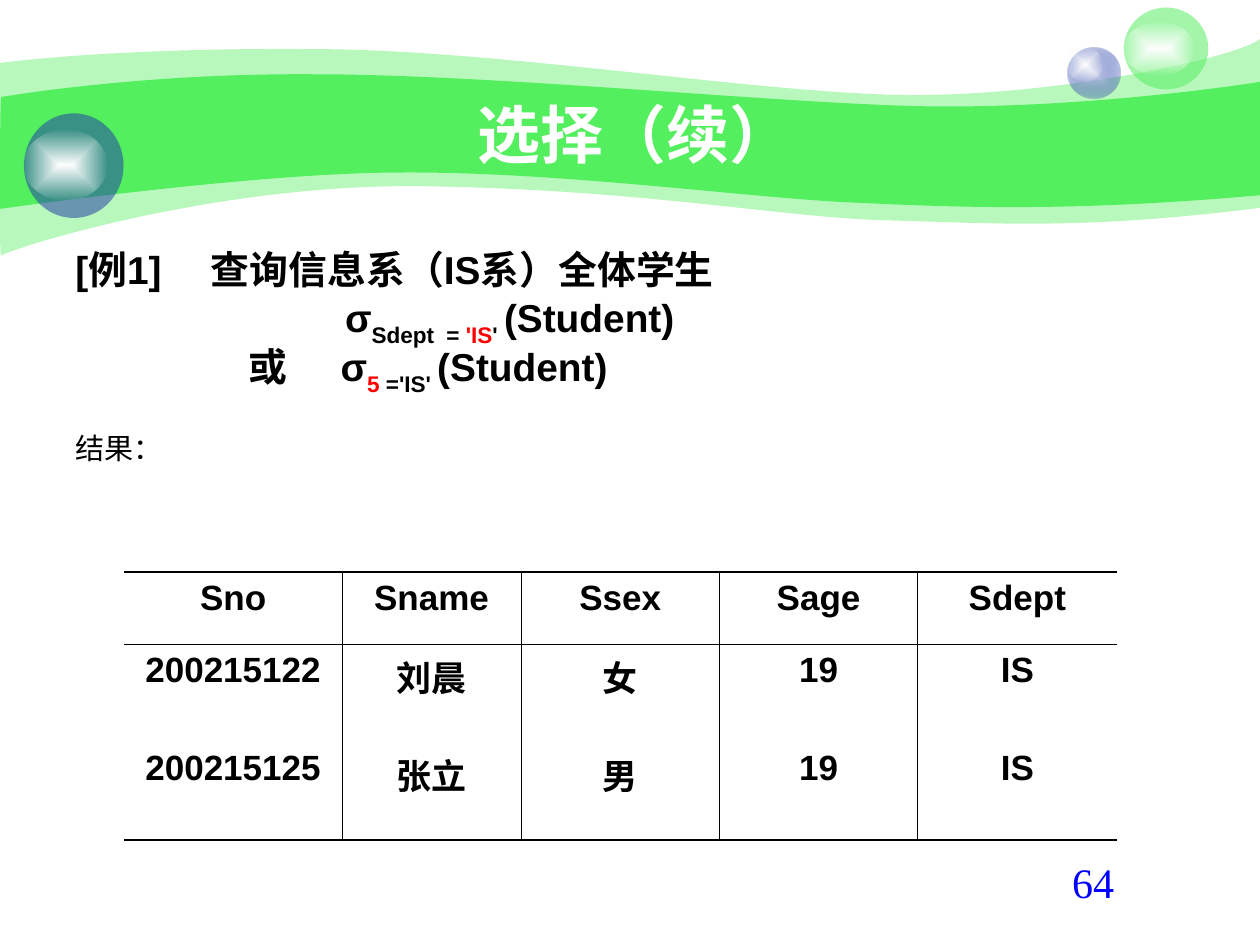
import pptx
import pptx.dml.color
import pptx.enum.shapes
import pptx.enum.text
import pptx.util
from lxml import etree

COLUMNS, ROWS = 100, 75
GREEN, BLUE, PALE_BLUE = "53EF5E", "233DA9", "C7CEE9"
WHITE, BLACK, RED, NUMBER_BLUE = "FFFFFF", "000000", "FF0000", "0000FF"
NAMESPACE = "http://schemas.openxmlformats.org/drawingml/2006/main"
ALIGN = pptx.enum.text.PP_ALIGN
ANCHOR = pptx.enum.text.MSO_ANCHOR


def tag(name):
    return f"{{{NAMESPACE}}}{name}"


def color(hex_value):
    return pptx.dml.color.RGBColor.from_string(hex_value)


def bend(lines):
    """Turn each three consecutive line elements into one cubic curve."""
    for first in range(0, len(lines), 3):
        curve = etree.Element(tag("cubicBezTo"))
        lines[first].addprevious(curve)
        for line in lines[first:first + 3]:
            curve.append(line[0])
            line.getparent().remove(line)


class SlideBuilder:
    """Style and current slide; lengths are columns and rows of the grid."""

    font = "Arial"

    def __init__(self, presentation):
        self.column = presentation.slide_width / COLUMNS
        self.row = presentation.slide_height / ROWS
        self.slide = presentation.slides.add_slide(presentation.slide_layouts[5])

    def x(self, columns):
        return pptx.util.Emu(round(columns * self.column))

    def y(self, rows):
        return pptx.util.Emu(round(rows * self.row))

    def box(self, left, top, width, height):
        return self.x(left), self.y(top), self.x(width), self.y(height)

    def run(self, paragraph, text, size, hex_value=BLACK, bold=True, font=None, subscript=False):
        run = paragraph.add_run()
        run.text = text
        run.font.name = font or self.font
        run.font.size = pptx.util.Pt(size)
        run.font.bold = bold
        run.font.color.rgb = color(hex_value)
        if subscript:
            run.font._element.set("baseline", "-30000")

    def paint(self, shape, *stops):
        """Fill with one (colour, opacity) or a centre-to-edge gradient of two."""
        shape.shadow.inherit = False
        shape.line.fill.background()
        properties = shape._element.spPr
        if len(stops) == 1:
            shape.fill.solid()
            shape.fill.fore_color.rgb = color(stops[0][0])
        else:
            shape.fill.gradient()
            for stop, (hex_value, _) in zip(shape.fill.gradient_stops, stops):
                stop.color.rgb = color(hex_value)
            linear = properties.find(".//" + tag("lin"))
            radial = etree.Element(tag("path"))
            radial.set("path", "rect")
            center = etree.SubElement(radial, tag("fillToRect"))
            for side in "ltrb":
                center.set(side, "50000")
            linear.getparent().replace(linear, radial)
        for element, (_, opacity) in zip(properties.iter(tag("srgbClr")), stops):
            if opacity < 100:
                etree.SubElement(element, tag("alpha")).set("val", str(opacity * 1000))

    def wave(self, upper, lower, opacity):
        """Band between two chains of curves, each a start and its curve points."""
        points = [(self.x(x), self.y(y)) for x, y in upper + lower]
        builder = self.slide.shapes.build_freeform(*points[0], scale=1.0)
        builder.add_line_segments(points[1:], close=True)
        shape = builder.convert_to_shape()
        lines = list(shape._element.spPr.iter(tag("lnTo")))
        edge = len(upper) - 1
        bend(lines[:edge])
        bend(lines[edge + 1:edge + len(lower)])
        self.paint(shape, (GREEN, opacity))

    def ellipse(self, place, *stops):
        oval = pptx.enum.shapes.MSO_SHAPE.OVAL
        self.paint(self.slide.shapes.add_shape(oval, *self.box(*place)), *stops)

    def orb(self, body, highlight, *stops):
        self.ellipse(body, *stops)
        self.ellipse(highlight, (WHITE, 100), (WHITE, 0))

    def title(self, place, text):
        shape = self.slide.shapes.title
        shape.left, shape.top, shape.width, shape.height = self.box(*place)
        shape.element.getparent().append(shape.element)  # in front of the waves
        frame = shape.text_frame
        frame.auto_size = pptx.enum.text.MSO_AUTO_SIZE.NONE
        frame.vertical_anchor = ANCHOR.MIDDLE
        frame.paragraphs[0].alignment = ALIGN.CENTER
        self.run(frame.paragraphs[0], text, 36, WHITE)

    def text(self, place):
        frame = self.slide.shapes.add_textbox(*self.box(*place)).text_frame
        frame.word_wrap = True
        return frame

    def body(self, place, lines):
        """Each line is (margin, first-line indent, space before, runs)."""
        frame = self.text(place)
        for index, (margin, indent, space, runs) in enumerate(lines):
            paragraph = frame.add_paragraph() if index else frame.paragraphs[0]
            paragraph.alignment = ALIGN.JUSTIFY
            paragraph.line_spacing = 0.7
            paragraph.space_before = pptx.util.Pt(space)
            properties = paragraph._p.get_or_add_pPr()
            properties.set("marL", str(self.x(margin)))
            properties.set("indent", str(self.x(indent)))
            for text, options in runs:
                self.run(paragraph, text, **{"size": 22.2, **options})

    def border(self, cell, side, points):
        line = etree.SubElement(cell._tc.get_or_add_tcPr(), tag("ln" + side))
        line.set("w", str(pptx.util.Pt(points)))
        if points:
            fill = etree.SubElement(line, tag("solidFill"))
            etree.SubElement(fill, tag("srgbClr")).set("val", BLACK)
        else:
            etree.SubElement(line, tag("noFill"))

    def table(self, left, top, widths, heights, records):
        place = self.box(left, top, sum(widths), sum(heights))
        table = self.slide.shapes.add_table(len(heights), len(widths), *place).table
        table.first_row = table.horz_banding = False
        for column, width in zip(table.columns, widths):
            column.width = self.x(width)
        for row, height in zip(table.rows, heights):
            row.height = self.y(height)
        thick, thin = 1.08, 0.45
        horizontal = [thick, thin] + [0] * (len(heights) - 2) + [thick]
        vertical = [0] + [thin] * (len(widths) - 1) + [0]
        for i, record in enumerate(records):
            for j, value in enumerate(record):
                cell = table.cell(i, j)
                lines = (vertical[j], vertical[j + 1], horizontal[i], horizontal[i + 1])
                for side, points in zip("LRTB", lines):
                    self.border(cell, side, points)
                cell.fill.background()
                paragraph = cell.text_frame.paragraphs[0]
                paragraph.alignment = ALIGN.CENTER
                self.run(paragraph, value, 20)


def main():
    presentation = pptx.Presentation()
    presentation.slide_width = pptx.util.Inches(10)
    presentation.slide_height = pptx.util.Inches(7.5)
    builder = SlideBuilder(presentation)

    builder.wave(
        [(0, 5), (2.4, 4.7), (10.7, 3.8), (24.7, 3.9),
         (38.6, 3.9), (57.5, 7), (69.9, 7.5),
         (82.2, 8), (98, 4.7), (100, 3.1)],
        [(100, 16.5), (85.8, 18.3), (78.7, 17.7), (70.5, 17.5),
         (62.2, 17.3), (51.5, 15.1), (34.3, 14.8),
         (17.2, 14.4), (0.4, 19.9), (0.1, 20.3),
         (-0.1, 20.8), (0, 7.5), (0, 5)], 41)
    builder.wave(
        [(0.1, 7.7), (0.2, 7.7), (11, 5.8), (24.8, 5.9),
         (38.6, 5.9), (59.5, 8), (71.8, 8.4),
         (84.1, 8.8), (97.6, 6.9), (100, 6.5)],
        [(100, 15.5), (85.3, 16.8), (76.5, 16.5), (68.2, 16.1),
         (59.9, 15.8), (44.7, 13.6), (31.7, 13.7),
         (20.3, 13.7), (-0.2, 16.6), (-0.1, 16.6),
         (0, 16.6), (0, 7.7), (0.1, 7.7)], 100)
    builder.orb((84.7, 3.8, 4.2, 4), (84.7, 3.8, 2.8, 2.7), (PALE_BLUE, 100), (BLUE, 31))
    builder.orb((89.2, 0.6, 6.7, 6.5), (89.2, 1.7, 5.6, 4.3), (GREEN, 53))
    builder.orb((1.9, 9, 7.9, 8.3), (1.9, 10.3, 6.6, 5.6), (BLUE, 53))

    builder.title((10, 7.5, 80.8, 6.2), "选择（续）")
    low = {"subscript": True}
    low_red = {"subscript": True, "hex_value": RED}
    builder.body((5, 20, 80.4, 18.3), [
        (10.75, -10.75, 0, [("[例1]\t查询信息系（IS系）全体学生", {})]),
        (21.4, 0, 6, [("σ", {}), ("Sdept  = ", low), ("'IS", low_red), ("' ", low),
                      ("(Student)", {})]),
        (21.05, -7.3, 6, [("或\tσ", {}), ("5", low_red), (" ='IS' ", low), ("(Student)", {})]),
        (0, 0, 29.5, [("结果：", {"size": 16.6, "bold": False})]),
    ])
    builder.table(9.85, 45.4, [17.3, 14.2, 15.75, 15.75, 15.8], [5.75, 7.75, 7.75], [
        ["Sno", "Sname", "Ssex", "Sage", "Sdept"],
        ["200215122", "刘晨", "女", "19", "IS"],
        ["200215125", "张立", "男", "19", "IS"],
    ])
    number = builder.text((84.1, 67.5, 15.9, 5))
    builder.run(number.paragraphs[0], "64", 24, NUMBER_BLUE, bold=False, font="Times New Roman")
    presentation.save("out.pptx")


if __name__ == "__main__":
    main()
